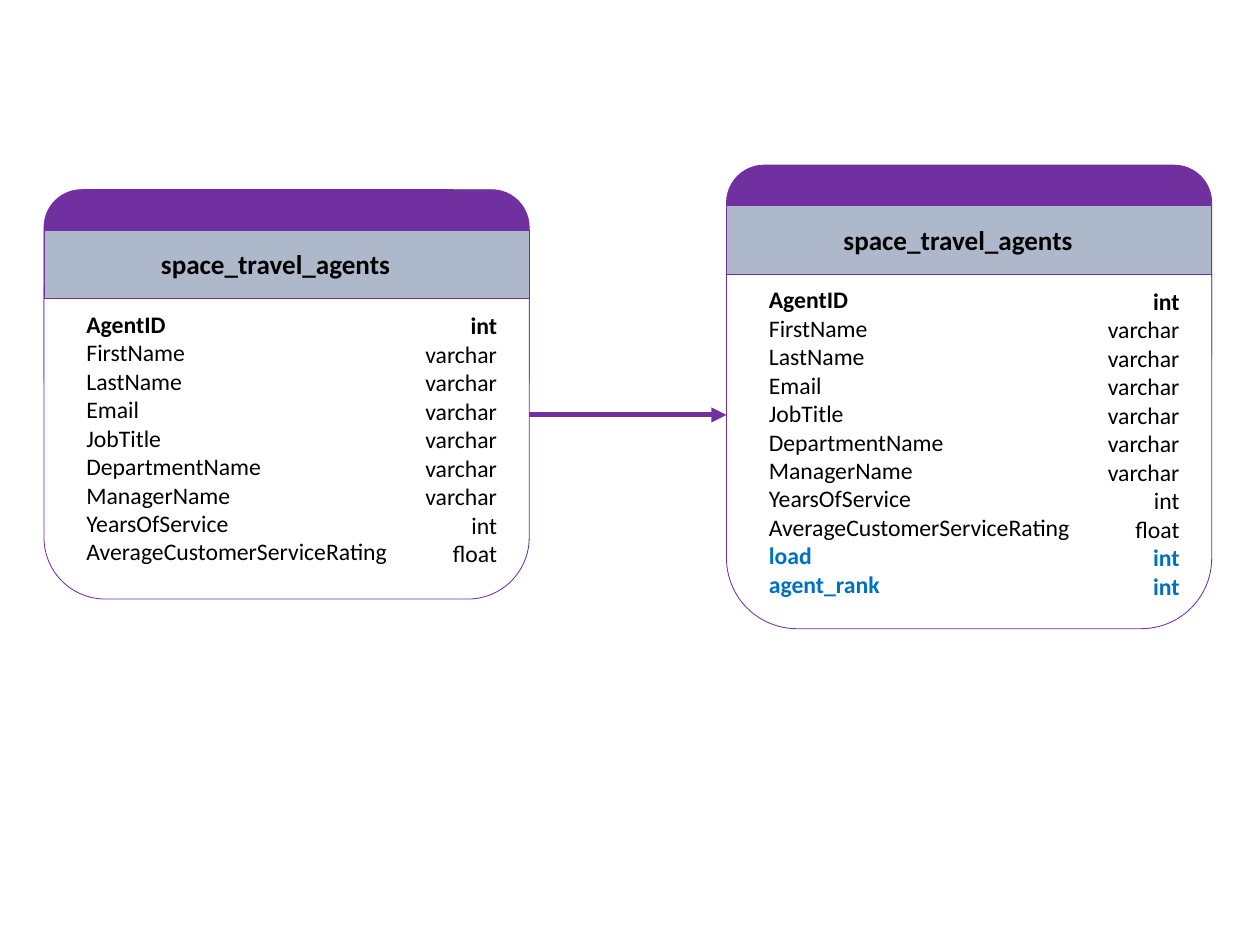
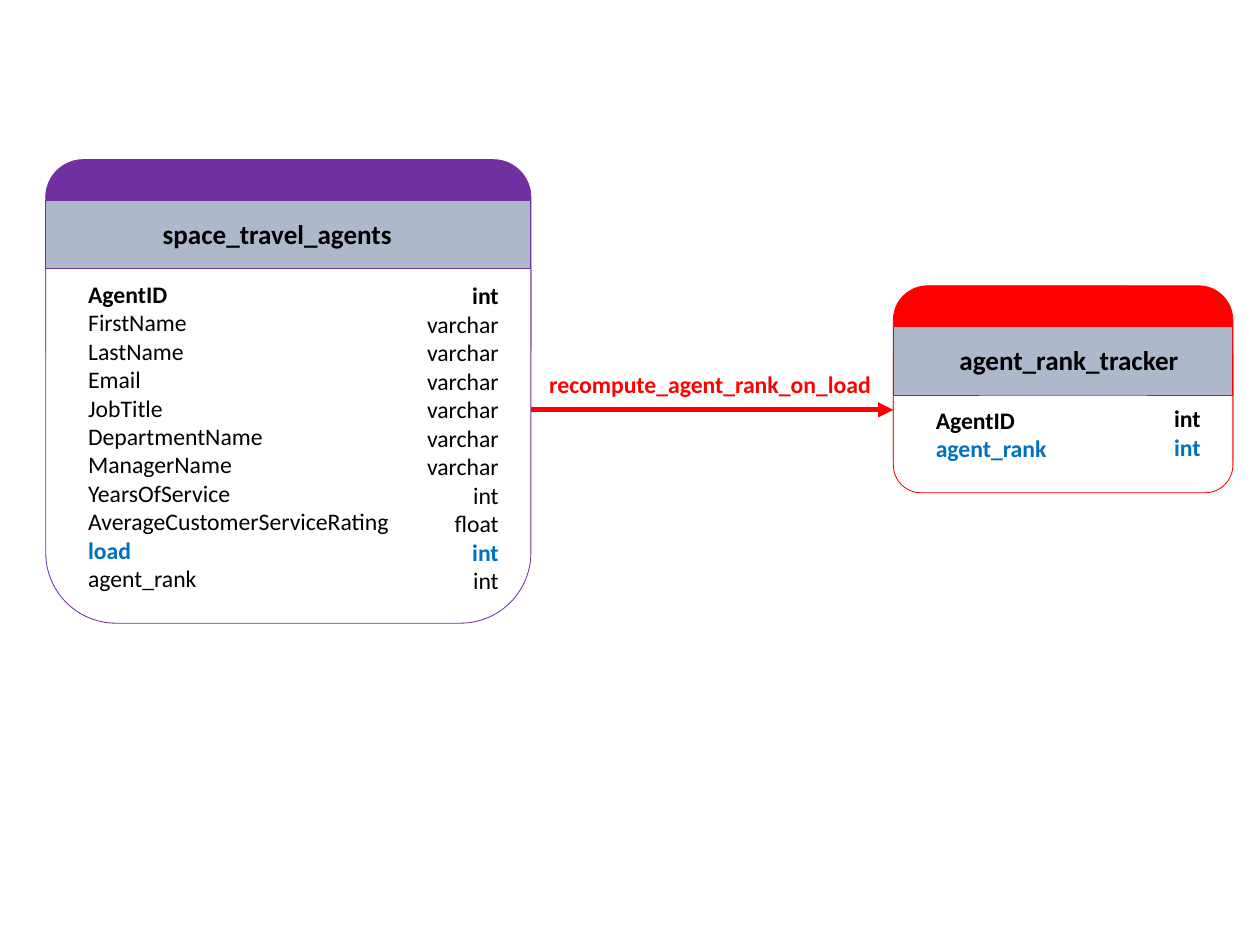
"""Build two slides of database table cards linked by arrows."""
import pptx
import pptx.dml.color
import pptx.enum.shapes
import pptx.enum.text
import pptx.oxml.ns
import pptx.util
from lxml import etree

Pt = pptx.util.Pt
RGBColor = pptx.dml.color.RGBColor
Shape = pptx.enum.shapes.MSO_SHAPE
Align = pptx.enum.text.PP_ALIGN

PURPLE = RGBColor(0x70, 0x30, 0xA0)
RED = RGBColor(0xFF, 0x00, 0x00)
BLUE = RGBColor(0x00, 0x70, 0xC0)
GREY = RGBColor(0xAD, 0xB9, 0xCA)
WHITE = RGBColor(0xFF, 0xFF, 0xFF)
BLACK = RGBColor(0x00, 0x00, 0x00)

AGENT_COLUMNS = [
    ("AgentID", "int"),
    ("FirstName", "varchar"),
    ("LastName", "varchar"),
    ("Email", "varchar"),
    ("JobTitle", "varchar"),
    ("DepartmentName", "varchar"),
    ("ManagerName", "varchar"),
    ("YearsOfService", "int"),
    ("AverageCustomerServiceRating", "float"),
]
LOAD = ("load", "int")
AGENT_RANK = ("agent_rank", "int")
RANKED_COLUMNS = AGENT_COLUMNS + [LOAD, AGENT_RANK]
AGENT_CARD_WIDTH = 573


class Diagram:
    """Holds the shared style and the current slide."""

    font = "Calibri"
    title_size = 32
    text_size = 28
    row_height = 34.2
    band_height = 81
    band_offset = 48
    text_inset = 43
    type_inset = 31
    type_width = 120

    def __init__(self):
        """Create the presentation and set its size."""
        self.presentation = pptx.Presentation()
        self.presentation.slide_width = Pt(1488)
        self.presentation.slide_height = Pt(1116)
        self.slide = None

    def new_slide(self):
        """Start a blank slide."""
        self.slide = self.presentation.slides.add_slide(self.presentation.slide_layouts[6])

    def box(self, kind, left, top, width, height, fill, outline):
        """Draw a filled preset shape."""
        shape = self.slide.shapes.add_shape(kind, Pt(left), Pt(top), Pt(width), Pt(height))
        shape.shadow.inherit = False
        shape.fill.solid()
        shape.fill.fore_color.rgb = fill
        shape.line.color.rgb = outline
        shape.line.width = Pt(1)
        return shape

    def text(self, left, top, width, lines, size, styles, align=Align.LEFT, wrap=True):
        """Write lines, each with its own pair of colour and weight."""
        height = len(lines) * self.row_height * size / self.text_size + 7.2
        shape = self.slide.shapes.add_textbox(Pt(left), Pt(top), Pt(width), Pt(height))
        frame = shape.text_frame
        frame.word_wrap = wrap
        frame.text = "\n".join(lines)
        for paragraph, (color, bold) in zip(frame.paragraphs, styles):
            paragraph.alignment = align
            for run in paragraph.runs:
                run.font.name = self.font
                run.font.size = Pt(size)
                run.font.bold = bold
                run.font.color.rgb = color

    def card(self, left, top, width, body_height, color, title, title_box, columns,
             highlights=(), header_height=267, names_top=138, types_top=140):
        """Draw a table card and return its body."""
        band_top = top + self.band_offset
        self.box(Shape.ROUNDED_RECTANGLE, left, top, width, header_height, color, color)
        body = self.box(Shape.ROUNDED_RECTANGLE, left, band_top + 0.5, width, body_height, WHITE, color)
        self.box(Shape.RECTANGLE, left, band_top, width, self.band_height, GREY, color)
        title_inset, title_width = title_box
        self.text(left + title_inset, top + 65, title_width, [title], self.title_size,
                  [(BLACK, True)], wrap=False)
        styles = [(BLUE, True) if column in highlights else (BLACK, index == 0)
                  for index, column in enumerate(columns)]
        names, types = zip(*columns)
        names_width = width - self.text_inset - self.type_inset - self.type_width
        self.text(left + self.text_inset, top + names_top, names_width, names,
                  self.text_size, styles)
        self.text(left + width - self.type_inset - self.type_width, top + types_top,
                  self.type_width, types, self.text_size, styles, Align.RIGHT)
        return body

    def agent_card(self, left, top, body_height, columns, highlights=()):
        """Draw a card of the agents table."""
        return self.card(left, top, AGENT_CARD_WIDTH, body_height, PURPLE,
                         "space_travel_agents", (131, 287), columns, highlights)

    def arrow(self, start, end, y, color):
        """Draw a level arrow and return it."""
        connector = self.slide.shapes.add_connector(
            pptx.enum.shapes.MSO_CONNECTOR.STRAIGHT, Pt(start), Pt(y), Pt(end), Pt(y))
        connector.line.color.rgb = color
        connector.line.width = Pt(6)
        qn = pptx.oxml.ns.qn
        etree.SubElement(connector.line._get_or_add_ln(), qn("a:tailEnd"), type="triangle")
        etree.SubElement(connector._element.spPr, qn("a:effectLst"))
        return connector


def main():
    """Build and save both slides."""
    diagram = Diagram()

    diagram.new_slide()
    agents = diagram.agent_card(52, 224, 435, AGENT_COLUMNS)
    diagram.agent_card(858, 195, 499, RANKED_COLUMNS, (LOAD, AGENT_RANK))
    arrow = diagram.arrow(52 + AGENT_CARD_WIDTH, 858, 490, PURPLE)
    arrow.begin_connect(agents, 3)
    arrow.end_y = arrow.begin_y

    diagram.new_slide()
    diagram.agent_card(54, 188.5, 499, RANKED_COLUMNS, (LOAD,))
    tracker = diagram.card(1055, 337.5, 401, 196, RED, "agent_rank_tracker", (71, 276),
                           [AGENT_COLUMNS[0], AGENT_RANK], (AGENT_RANK,),
                           header_height=244, types_top=136)
    arrow = diagram.arrow(54 + AGENT_CARD_WIDTH, 1055, 484, RED)
    arrow.end_connect(tracker, 1)
    arrow.begin_y = arrow.end_y
    diagram.text(641.5, 433.5, 399, ["recompute_agent_rank_on_load"], diagram.text_size,
                 [(RED, True)], wrap=False)

    diagram.presentation.save("out.pptx")


if __name__ == "__main__":
    main()
